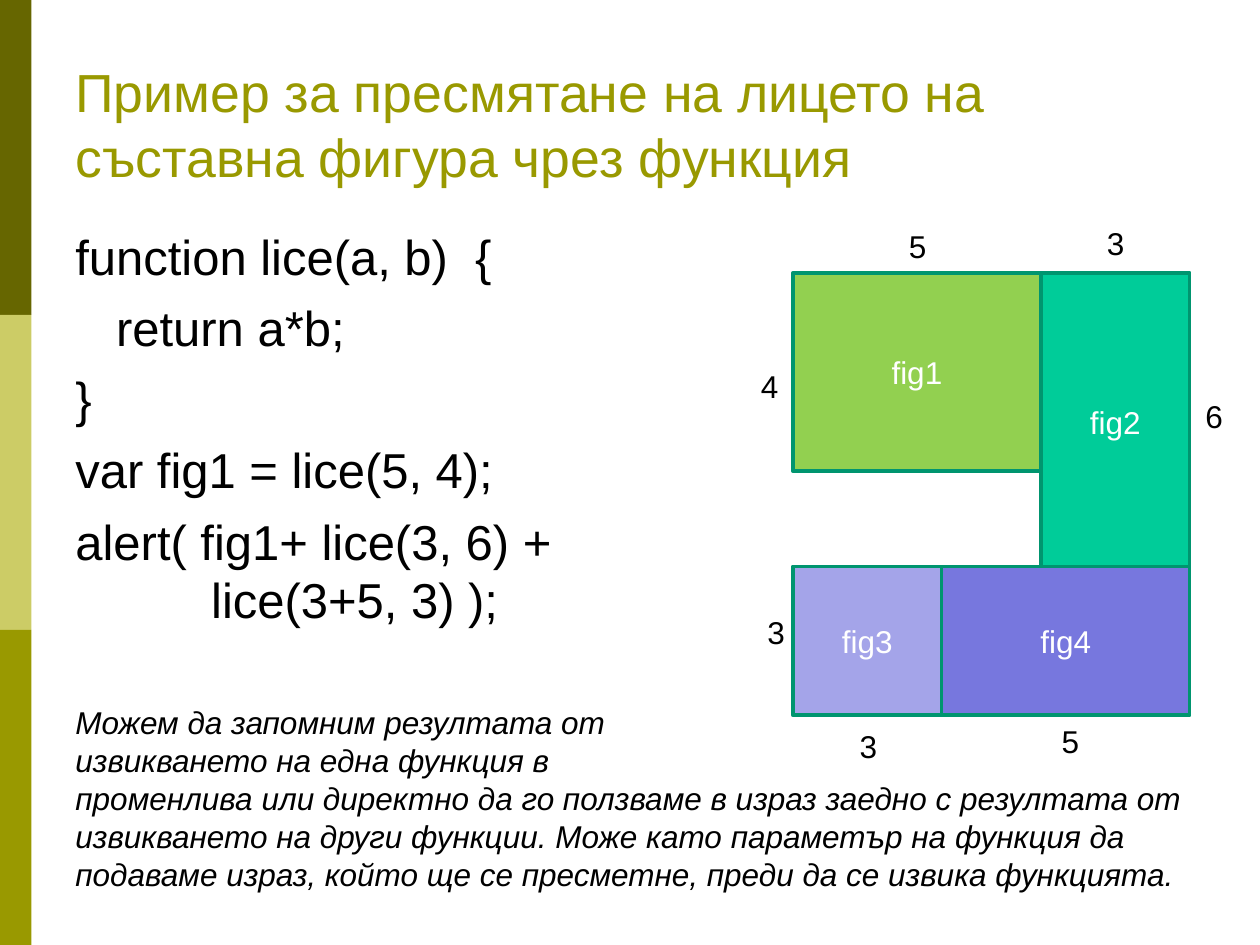
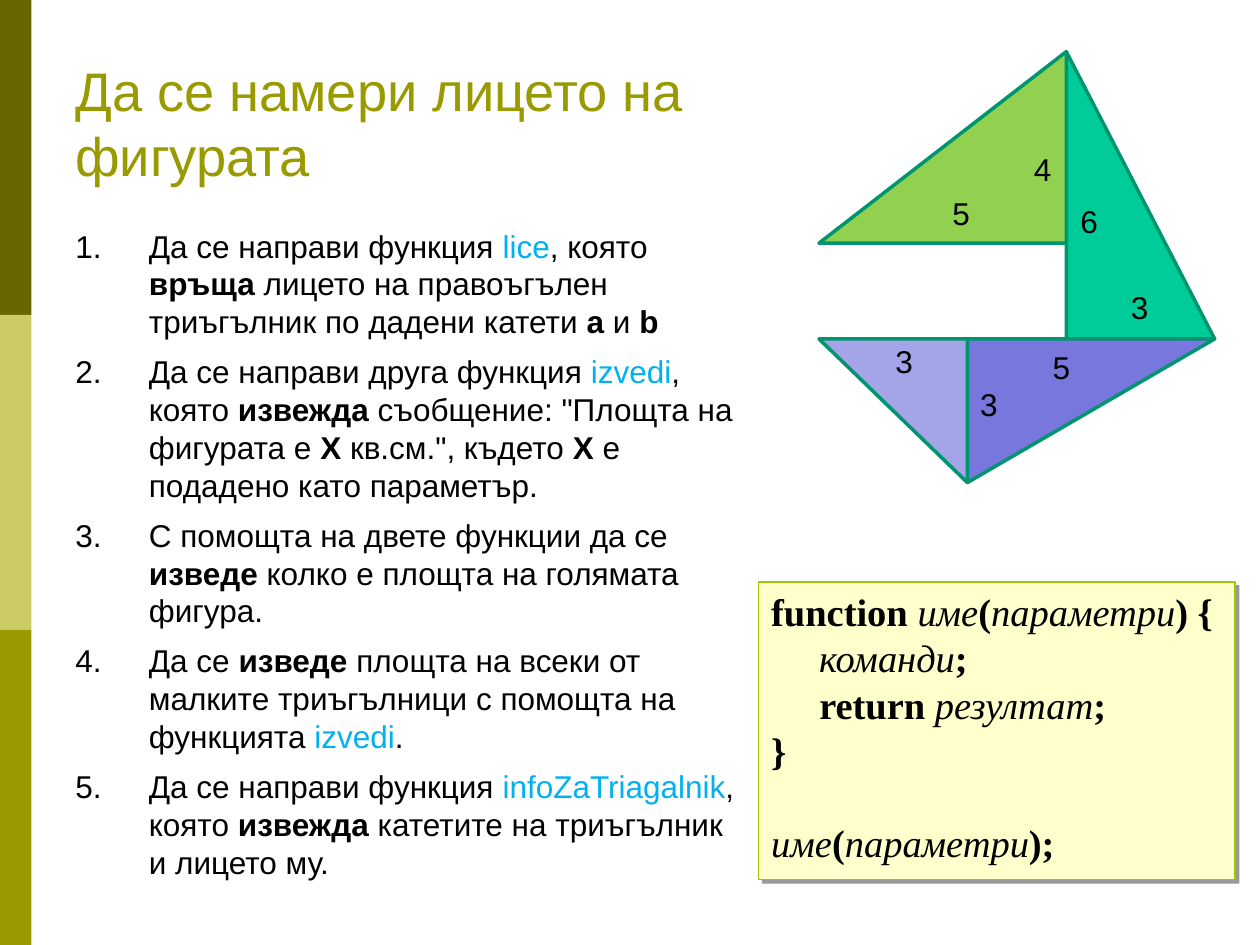
from lxml.etree import SubElement as Sub
from pptx import Presentation
from pptx.dml.color import RGBColor as Rgb
from pptx.enum.shapes import MSO_SHAPE as Kind
from pptx.enum.text import MSO_ANCHOR as Anchor, PP_ALIGN as Align
from pptx.oxml.ns import qn
from pptx.util import Pt

# The slide is a grid of 40 columns and 30 rows
COLS, ROWS = 40, 30
CELL = 228600
BLACK, WHITE, OLIVE, CYAN = "000000", "FFFFFF", "999900", "00B0F0"
EDGE = "00956F"
BANDS = ["666600", "CCCC66", OLIVE]
LIME, MINT, LILAC, VIOLET = "92D050", "00CC99", "A4A4E9", "7777DE"
SANS, SERIF = "Arial", "Times New Roman"
BOLD, ITAL, NAME = {"bold": True}, {"ital": True}, {"tint": CYAN}


def color(code):
    return Rgb.from_string(code)


def cells(*nums):
    return [round(n * CELL) for n in nums]


def paint(shape, fill, line=None, width=2):
    shape.shadow.inherit = False
    shape.fill.solid()
    shape.fill.fore_color.rgb = color(fill)
    if line:
        shape.line.color.rgb = color(line)
        shape.line.width = Pt(width)
    else:
        shape.line.fill.background()


def rect(slide, box, fill, line=None, width=2):
    shape = slide.shapes.add_shape(Kind.RECTANGLE, *cells(*box))
    paint(shape, fill, line, width)
    return shape


def add_run(par, text, size, face=SANS, tint=BLACK, bold=False, ital=False):
    for i, part in enumerate(text.split("\n")):
        if i:
            par.add_line_break()
        if not part:
            continue
        run = par.add_run()
        run.text = part
        font = run.font
        font.name, font.size = face, Pt(size)
        font.bold, font.italic = bold, ital
        font.color.rgb = color(tint)


def add_par(frame, runs, size, gap=0, first=False, **style):
    par = frame.paragraphs[0] if first else frame.add_paragraph()
    par.alignment = Align.LEFT
    par.space_before = Pt(0 if first else gap)
    for text, look in runs:
        add_run(par, text, size, **{**style, **look})
    return par


def text_box(slide, box, anchor=Anchor.TOP, wrap=True):
    frame = slide.shapes.add_textbox(*cells(*box)).text_frame
    frame.word_wrap = wrap
    frame.vertical_anchor = anchor
    return frame


def number(par):
    props = par._p.get_or_add_pPr()
    props.set("marL", "533400")
    props.set("indent", "-533400")
    Sub(props, qn("a:buFont"), typeface="+mj-lt")
    Sub(props, qn("a:buAutoNum"), type="arabicPeriod")


def drop_shadow(shape):
    effects = shape._element.spPr.find(qn("a:effectLst"))
    shade = Sub(effects, qn("a:outerShdw"), dist="38100", dir="2700000",
                algn="ctr", rotWithShape="0")
    tint = Sub(shade, qn("a:srgbClr"), val=BLACK)
    Sub(tint, qn("a:alpha"), val="40000")


def new_slide(deck, title, size, width):
    slide = deck.slides.add_slide(deck.slide_layouts[6])
    step = ROWS / len(BANDS)
    for i, fill in enumerate(BANDS):
        rect(slide, (0, i * step, 1, step), fill)
    frame = text_box(slide, (2, 1.56, width, 4.6), Anchor.BOTTOM)
    add_par(frame, [(title, {})], size, first=True, tint=OLIVE)
    return slide


class Plan:
    """Places a figure measured in its own units on the slide's grid."""

    def __init__(self, slide, left, top, wide, high):
        self.slide = slide
        self.left, self.top = left, top
        self.wide, self.high = wide, high

    def at(self, x, y):
        return self.left + x * self.wide, self.top + y * self.high

    def block(self, name, x, y, w, h, fill):
        box = (*self.at(x, y), w * self.wide, h * self.high)
        shape = rect(self.slide, box, fill, EDGE)
        frame = shape.text_frame
        frame.vertical_anchor = Anchor.MIDDLE
        par = add_par(frame, [(name, {})], 18, first=True, tint=WHITE)
        par.alignment = Align.CENTER

    def wedge(self, points, fill):
        first, *rest = [cells(*self.at(*p)) for p in points]
        path = self.slide.shapes.build_freeform(*first)
        path.add_line_segments(rest, close=True)
        paint(path.convert_to_shape(), fill, EDGE)

    def label(self, text, x, y):
        w, h = 1.36, 1.6
        col, row = self.at(x, y)
        frame = text_box(self.slide, (col - w / 2, row - h / 2, w, h),
                         wrap=False)
        add_par(frame, [(text, {})], 18, first=True)


def area_slide(deck):
    slide = new_slide(
        deck, "Пример за пресмятане на лицето на съставна фигура чрез функция",
        30.6, 35.96)

    # Code and remark
    frame = text_box(slide, (2, 7, 35.96, 21.56))
    code = ["function lice(a, b)  {", "   return a*b;", "}",
            "var fig1 = lice(5, 4);",
            "alert( fig1+ lice(3, 6) +\n          lice(3+5, 3) );"]
    for i, line in enumerate(code):
        add_par(frame, [(line, {})], 28, gap=7, first=i == 0)
    note = ("Можем да запомним резултата от\nизвикването на една функция в\n"
            "променлива или директно да го ползваме в израз заедно с "
            "резултата от извикването на други функции. Може като параметър "
            "на функция да подаваме израз, който ще се пресметне, преди да "
            "се извика функцията.")
    add_par(frame, [(note, ITAL)], 18, gap=42.7)

    # Figure of four rectangles, 8 units wide
    unit = 12.6 / 8
    plan = Plan(slide, 25.17, 8.66, unit, unit)
    for block in [("fig2", 5, 0, 3, 6, MINT), ("fig1", 0, 0, 5, 4, LIME),
                  ("fig4", 3, 5.92, 5, 3, VIOLET),
                  ("fig3", 0, 5.92, 3, 3, LILAC)]:
        plan.block(*block)
    for mark in [("4", -0.46, 2.29), ("5", 2.52, -0.53), ("3", 6.51, -0.59),
                 ("6", 8.5, 2.88), ("3", -0.33, 7.25), ("3", 1.53, 9.54),
                 ("5", 5.6, 9.44)]:
        plan.label(*mark)


def task_slide(deck):
    slide = new_slide(deck, "Да се намери лицето на фигурата", 31, 23.36)

    # Numbered tasks
    tasks = [
        [("Да се направи функция ", {}), ("lice", NAME), (", която ", {}),
         ("връща", BOLD),
         (" лицето на правоъгълен триъгълник по дадени катети ", {}),
         ("a", BOLD), (" и ", {}), ("b", BOLD)],
        [("Да се направи друга функция ", {}), ("izvedi", NAME),
         (", която ", {}), ("извежда", BOLD),
         (' съобщение: "Площта на фигурата е ', {}), ("X ", BOLD),
         ('кв.см.", където ', {}), ("X ", BOLD),
         ("е подадено като параметър.", {})],
        [("С помощта на двете функции да се ", {}), ("изведе", BOLD),
         (" колко е площта на голямата фигура.", {})],
        [("Да се ", {}), ("изведе", BOLD),
         (" площта на всеки от малките триъгълници с помощта на функцията ",
          {}), ("izvedi", NAME), (".", {})],
        [("Да се направи функция ", {}), ("infoZaTriagalnik", NAME),
         (", която ", {}), ("извежда", BOLD),
         (" катетите на триъгълник и лицето му.", {})],
    ]
    frame = text_box(slide, (2, 7, 22.08, 21.88))
    for i, task in enumerate(tasks):
        number(add_par(frame, task, 18, gap=7, first=i == 0))

    # Figure of four triangles
    plan = Plan(slide, 26, 1.64, 1.57, 1.52)
    for points, fill in [([(5, 0), (8, 6), (5, 6)], MINT),
                         ([(3, 6), (8, 6), (3, 9)], VIOLET),
                         ([(5, 0), (5, 4), (0, 4)], LIME),
                         ([(0, 6), (3, 6), (3, 9)], LILAC)]:
        plan.wedge(points, fill)
    for mark in [("4", 4.53, 2.45), ("5", 2.88, 3.37), ("3", 6.49, 5.34),
                 ("6", 5.47, 3.53), ("3", 3.44, 7.37), ("3", 1.73, 6.47),
                 ("5", 4.91, 6.58)]:
        plan.label(*mark)

    # Syntax card
    card = rect(slide, (24.09, 18.48, 15.12, 9.44), "FFFFCC", "99CC00", 0.75)
    drop_shadow(card)
    frame = card.text_frame
    frame.word_wrap = True
    frame.vertical_anchor = Anchor.TOP
    call = [("име", ITAL), ("(", BOLD), ("параметри", ITAL)]
    rule = [("function ", BOLD), *call, (") {\n     ", BOLD),
            ("команди", ITAL), (";\n     return ", BOLD),
            ("резултат", ITAL), (";\n}", BOLD)]
    add_par(frame, rule, 22, first=True, face=SERIF)
    add_par(frame, [*call, (");", BOLD)], 22, gap=26.4, face=SERIF)


def main():
    deck = Presentation()
    deck.slide_width, deck.slide_height = cells(COLS, ROWS)
    area_slide(deck)
    task_slide(deck)
    deck.save("out.pptx")


if __name__ == "__main__":
    main()
